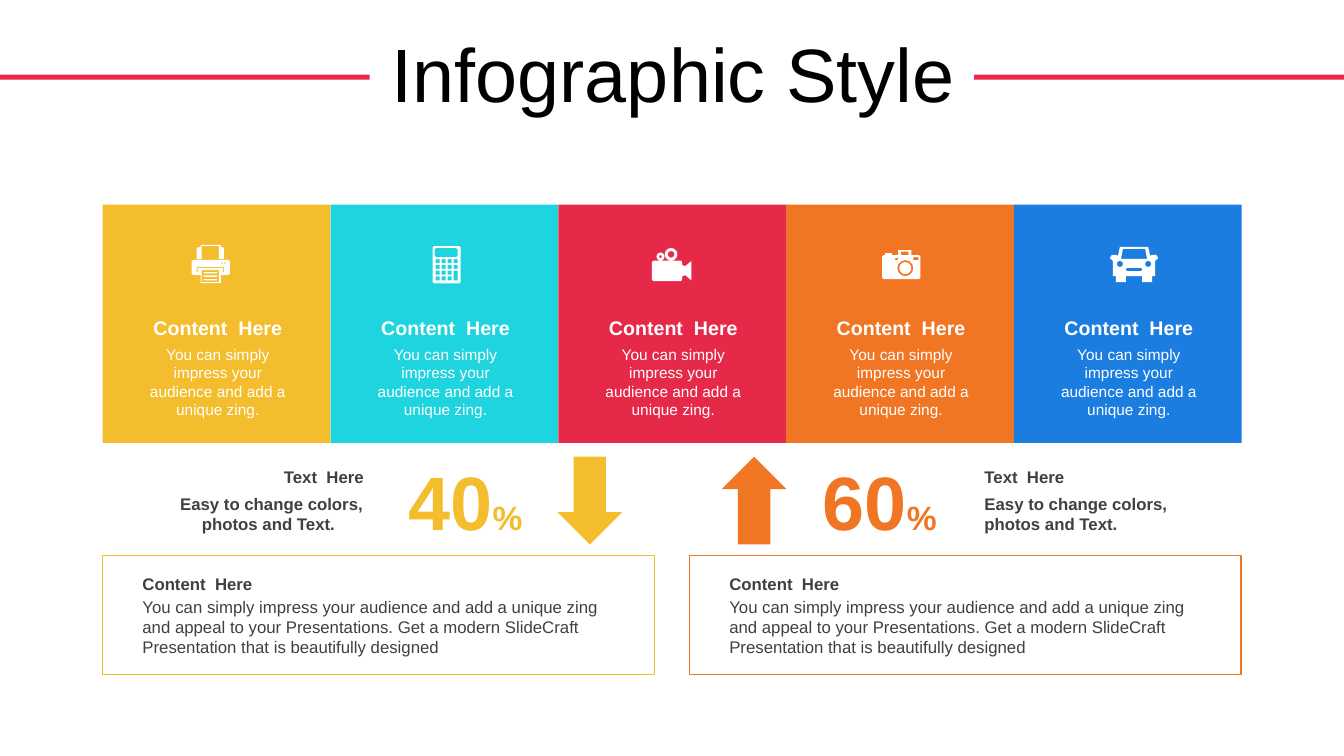
import math

import pptx
import pptx.util
import pptx.dml.color
import pptx.enum.shapes
import pptx.enum.text

Cm, Pt = pptx.util.Cm, pptx.util.Pt
RGBColor = pptx.dml.color.RGBColor
MSO_SHAPE = pptx.enum.shapes.MSO_SHAPE
ALIGN = pptx.enum.text.PP_ALIGN
ANCHOR = pptx.enum.text.MSO_ANCHOR

YELLOW = RGBColor(0xF4, 0xBD, 0x2D)
CYAN = RGBColor(0x1E, 0xD4, 0xDE)
RED = RGBColor(0xE6, 0x29, 0x49)
ORANGE = RGBColor(0xF0, 0x76, 0x24)
BLUE = RGBColor(0x1C, 0x7D, 0xE1)
WHITE = RGBColor(0xFF, 0xFF, 0xFF)
BLACK = RGBColor(0, 0, 0)
GREY = RGBColor(0x40, 0x40, 0x40)

HEADING = "Content  Here"
CARD_TEXT = "You can simply impress your audience and add a unique zing."
PANEL_TEXT = ("You can simply impress your audience and add a unique zing and "
              "appeal to your Presentations. Get a modern SlideCraft "
              "Presentation that is beautifully designed")
NOTE_TEXT = "Easy to change colors, photos and Text."

ICON_UNIT = Cm(0.0254)
FINE = 100  # freeform coordinates are whole numbers, so icon units are subdivided


# --- icon outlines, in icon units from the icon's top left corner ---
def box(x, y, w, h):
    return [(x, y), (x + w, y), (x + w, y + h), (x, y + h)]


def cut_box(x, y, w, h, c=1.5):
    """Box with its corners cut off by c."""
    r, b = x + w, y + h
    return [(x + c, y), (r - c, y), (r, y + c), (r, b - c),
            (r - c, b), (x + c, b), (x, b - c), (x, y + c)]


def disc(cx, cy, r):
    return [(cx + r * math.cos(a), cy + r * math.sin(a))
            for a in (math.radians(30 * k) for k in range(12))]


PRINTER = [
    cut_box(0, 15, 38, 15), box(9, 30, 20, 8),
    [(5, 22), (32, 22), (32, 27), (31, 27), (31, 23), (6, 23), (6, 27), (5, 27)],
    box(10, 25, 17, 12), *[box(12, y, 13, 1.3) for y in (27, 30.5, 34)],
    box(29.3, 17.3, 1.4, 1.4), box(32.3, 17.3, 1.4, 1.4),
    [(9, 0), (29, 0), (29, 2), (32, 3), (32, 14), (27, 14), (27, 1), (10, 1),
     (10, 14), (5, 14), (5, 3), (9, 2)],
]
CALCULATOR = [
    cut_box(0, 0, 28, 37), cut_box(2, 2, 23, 9), box(21, 24.5, 4, 9.5),
    *[box(3 + 6 * col, 13 + 5.7 * row, 4, 4)
      for row in range(4) for col in range(4) if col < 3 or row < 2],
]
VIDEO = [
    cut_box(0, 12.5, 30, 20.5), disc(19, 6.3, 6.3), disc(19, 6.3, 3.3),
    disc(8.5, 8.5, 4), box(7.3, 7.3, 2.4, 2.4),
    [(30, 17), (33, 18), (39, 13), (39, 32), (33, 27), (30, 28)],
]
CAMERA = [
    cut_box(0, 5, 38, 24), box(3, 3, 7, 2), box(16, 0, 13, 5),
    box(19, 1.5, 7, 3.5), disc(23, 18, 8), disc(23, 18, 6),
    box(13, 8, 3, 2), box(31, 7, 5, 3),
]
CAR = [
    [(10, 0), (38, 0), (40, 9), (42, 8), (46, 8), (48, 11), (45, 14), (45, 29),
     (42, 29), (42, 35), (32, 35), (32, 29), (16, 29), (16, 35), (6, 35), (6, 29),
     (3, 29), (3, 14), (0, 11), (2, 8), (6, 8), (8, 9)],
    [(13, 2), (35, 2), (37, 12), (11, 12)],
    disc(10, 17, 3), disc(38, 17, 3), cut_box(16, 21, 16, 3, 1),
]

# Card colour, icon outline, icon left and top in cm
CARDS = [
    (YELLOW, PRINTER, 4.83, 6.17),
    (CYAN, CALCULATOR, 10.9, 6.2),
    (RED, VIDEO, 16.43, 6.25),
    (ORANGE, CAMERA, 22.23, 6.3),
    (BLUE, CAR, 27.97, 6.22),
]


def paint(sp, fill=None, line=None):
    sp.shadow.inherit = False
    if fill is None:
        sp.fill.background()
    else:
        sp.fill.solid()
        sp.fill.fore_color.rgb = fill
    if line is None:
        sp.line.fill.background()
    else:
        sp.line.color.rgb = line
        sp.line.width = Pt(1)


def add_block(s, kind, x, y, w, h, fill=None, line=None):
    sp = s.shapes.add_shape(kind, Cm(x), Cm(y), Cm(w), Cm(h))
    paint(sp, fill, line)
    return sp


def add_icon(s, contours, x, y):
    first, *rest = [[(px * FINE, py * FINE) for px, py in c] for c in contours]
    fb = s.shapes.build_freeform(*first[0], scale=ICON_UNIT / FINE)
    fb.add_line_segments(first[1:], close=True)
    for c in rest:
        fb.move_to(*c[0])
        fb.add_line_segments(c[1:], close=True)
    paint(fb.convert_to_shape(Cm(x), Cm(y)), WHITE)


def add_text(s, x, y, w, h, runs, color, bold=False, anchor=ANCHOR.TOP, **para):
    """Add one paragraph; runs is a list of (text, size in points)."""
    tf = s.shapes.add_textbox(Cm(x), Cm(y), Cm(w), Cm(h)).text_frame
    tf.word_wrap = True
    tf.vertical_anchor = anchor
    p = tf.paragraphs[0]
    for name, value in para.items():
        setattr(p, name, value)
    for text, size in runs:
        r = p.add_run()
        r.text = text
        for name, value in {"name": "Arial", "size": Pt(size), "bold": bold}.items():
            setattr(r.font, name, value)
        r.font.color.rgb = color
    return p


def add_card(s, x, color, icon, icon_x, icon_y):
    add_block(s, MSO_SHAPE.RECTANGLE, x, 5.16, 5.74, 6, color)
    add_icon(s, icon, icon_x, icon_y)
    add_text(s, x + 0.79, 7.82, 4.22, 0.86, [(HEADING, 14)], WHITE, True,
             ANCHOR.MIDDLE, alignment=ALIGN.CENTER)
    add_text(s, x + 0.79, 8.56, 4.22, 1.68, [(CARD_TEXT, 11)], WHITE, alignment=ALIGN.CENTER)


def add_figure(s, x, number, arrow_x, rotation, color):
    add_text(s, x, 11.33, 3.61, 2.57, [(number, 54), ("%", 24)], color, True,
             alignment=ALIGN.CENTER)
    add_block(s, MSO_SHAPE.DOWN_ARROW, arrow_x, 11.51, 1.63, 2.21, color).rotation = rotation


def add_note(s, x, w, align):
    add_text(s, x, 11.63, w, 0.76, [("Text  Here", 12)], GREY, True,
             ANCHOR.MIDDLE, alignment=align)
    return add_text(s, x, 12.32, w, 1.27, [(NOTE_TEXT, 12)], GREY, True)


def add_panel(s, x, color):
    add_block(s, MSO_SHAPE.RECTANGLE, x, 14, 13.9, 3, line=color)
    add_text(s, x + 0.75, 14.33, 12.4, 0.76, [(HEADING, 12)], GREY, True)
    add_text(s, x + 0.75, 14.91, 12.4, 1.8, [(PANEL_TEXT, 12)], GREY)


def main():
    prs = pptx.Presentation()
    prs.slide_width, prs.slide_height = Cm(33.87), Cm(19.05)
    s = prs.slides.add_slide(prs.slide_layouts[6])

    # Title between two rules
    for x in (0, 24.55):
        add_block(s, MSO_SHAPE.RECTANGLE, x, 1.88, 9.32, 0.13, RED)
    add_text(s, 0.89, 0.79, 32.16, 2.34, [("Infographic Style", 54)], BLACK,
             anchor=ANCHOR.MIDDLE, alignment=ALIGN.CENTER,
             line_spacing=0.9, space_before=Pt(10))

    # Row of coloured cards
    for i, card in enumerate(CARDS):
        add_card(s, 2.59 + 5.74 * i, *card)

    # Percentages with arrows
    add_figure(s, 9.93, "40", 14.05, 0, YELLOW)
    add_figure(s, 20.37, "60", 18.19, 180, ORANGE)

    # Notes; the left one has its second line set in
    p = add_note(s, 4.06, 5.36, ALIGN.RIGHT)
    pPr = p._p.get_or_add_pPr()
    for name, value in {"marL": Cm(0.78), "indent": Cm(-0.55)}.items():
        pPr.set(name, str(value))
    add_note(s, 24.56, 5.26, ALIGN.LEFT)

    # Framed panels
    add_panel(s, 2.59, YELLOW)
    add_panel(s, 17.38, ORANGE)

    prs.save("out.pptx")


if __name__ == "__main__":
    main()
